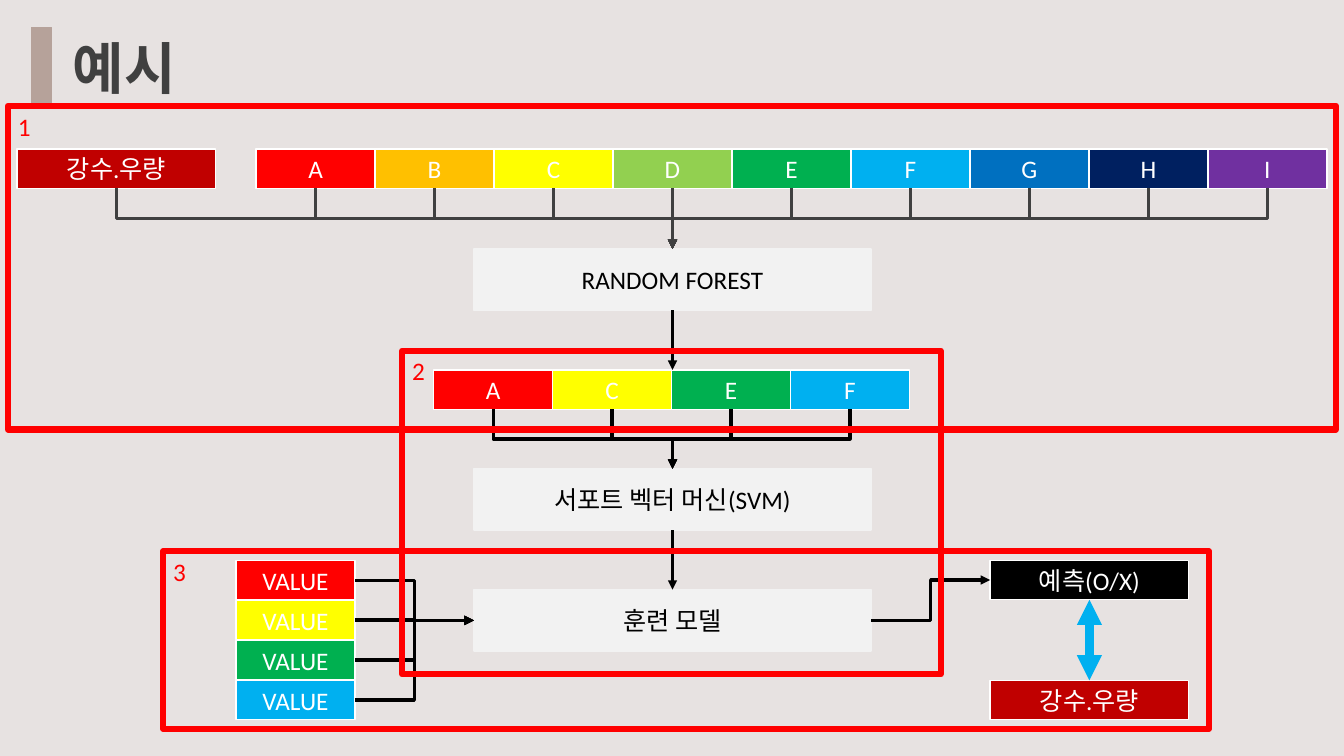
from dataclasses import dataclass
from typing import Optional

from lxml import etree
from pptx import Presentation
from pptx import util as u
from pptx.dml.color import RGBColor
from pptx.enum import shapes, text
from pptx.oxml import ns

RED, YELLOW, GREEN, SKY = "FF0000", "FFFF00", "00B050", "00B0F0"
WHITE, BLACK, DARK, PALE, CRIMSON = "FFFFFF", "000000", "404040", "F2F2F2", "C00000"
CELL_W, CELL_H, WIDE_W = 1.18, 0.39, 1.97
VALUE_STEP = 1.19 / 3
KOREAN = "Noto Sans CJK KR"


@dataclass
class Box:
    label: str
    left: float
    top: float
    width: float
    height: float
    fill: Optional[str] = None
    line: str = WHITE
    ink: str = WHITE
    line_width: float = 1


@dataclass
class Feature:
    label: str
    colour: str


FEATURES = [
    Feature("A", RED), Feature("B", "FFC000"), Feature("C", YELLOW),
    Feature("D", "92D050"), Feature("E", GREEN), Feature("F", SKY),
    Feature("G", "0070C0"), Feature("H", "002060"), Feature("I", "7030A0"),
]
SELECTED = [feature for feature in FEATURES if feature.label in "ACEF"]
STAGES = [
    Box("1", 0.08, 1.05, 13.17, 3.21, None, RED, RED, 4.5),
    Box("2", 3.99, 3.48, 5.34, 3.21, None, RED, RED, 4.5),
    Box("3", 1.62, 5.47, 10.37, 1.76, None, RED, RED, 4.5),
]


def rgb(colour: str) -> RGBColor:
    return RGBColor.from_string(colour)


def apply_format(target, values: dict) -> None:
    for name, value in values.items():
        setattr(target, name, value)


def style_run(run, face: str, size: float, colour: str, bold: bool = False) -> None:
    apply_format(run.font, {"name": face, "size": u.Pt(size), "bold": bold})
    run.font.color.rgb = rgb(colour)
    etree.SubElement(run.font._element, ns.qn("a:ea"), typeface=KOREAN)


def add_box(slide, box: Box):
    """Draw a filled box with centred text, or an open frame with its text at top left."""
    shape = slide.shapes.add_shape(
        shapes.MSO_SHAPE.RECTANGLE,
        *map(u.Inches, (box.left, box.top, box.width, box.height)))
    shape.shadow.inherit = False
    shape.line.color.rgb = rgb(box.line)
    shape.line.width = u.Pt(box.line_width)
    if box.fill:
        shape.fill.solid()
        shape.fill.fore_color.rgb = rgb(box.fill)
    else:
        shape.fill.background()
    frame = shape.text_frame
    frame.word_wrap = True
    frame.vertical_anchor = text.MSO_ANCHOR.MIDDLE if box.fill else text.MSO_ANCHOR.TOP
    paragraph = frame.paragraphs[0]
    paragraph.alignment = text.PP_ALIGN.CENTER if box.fill else text.PP_ALIGN.LEFT
    if box.label:
        run = paragraph.add_run()
        run.text = box.label
        style_run(run, "Calibri", 18, box.ink)
    return shape


def side(shape, index: int) -> tuple[int, int]:
    """Middle of a side: 0 top, 1 left, 2 bottom, 3 right."""
    centre, middle = shape.left + shape.width // 2, shape.top + shape.height // 2
    return [(centre, shape.top), (shape.left, middle),
            (centre, shape.top + shape.height), (shape.left + shape.width, middle)][index]


def style_line(connector, colour: str, width: float = 2.25, ends: tuple = ("tailEnd",)) -> None:
    connector.line.color.rgb = rgb(colour)
    connector.line.width = u.Pt(width)
    properties = connector._element.spPr
    outline = properties.find(ns.qn("a:ln"))
    for end in ends:
        etree.SubElement(outline, ns.qn(f"a:{end}"), type="triangle")
    etree.SubElement(properties, ns.qn("a:effectLst"))


def add_straight(slide, start: tuple, finish: tuple):
    return slide.shapes.add_connector(shapes.MSO_CONNECTOR.STRAIGHT, *start, *finish)


def add_elbow(slide, start: tuple, finish: tuple, colour: str = BLACK) -> None:
    """Arrow that leaves and arrives horizontally."""
    elbow = slide.shapes.add_connector(shapes.MSO_CONNECTOR.ELBOW, *start, *finish)
    style_line(elbow, colour)


def add_drop(slide, start: tuple, finish: tuple, colour: str) -> None:
    """Arrow that leaves and arrives downwards: an elbow turned a quarter."""
    (x1, y1), (x2, y2) = start, finish
    rightward = x2 > x1
    centre, middle = (x1 + x2) // 2, (y1 + y2) // 2
    half_w, half_h = (y2 - y1) // 2, abs(x2 - x1) // 2
    if rightward:
        half_w = -half_w
    elbow = slide.shapes.add_connector(
        shapes.MSO_CONNECTOR.ELBOW,
        centre - half_w, middle - half_h, centre + half_w, middle + half_h)
    elbow._element.spPr.xfrm.set("rot", str((270 if rightward else 90) * 60000))
    style_line(elbow, colour)


def add_feature_row(slide, features: list[Feature], left: float, top: float) -> list:
    return [add_box(slide, Box(feature.label, left + i * CELL_W, top, CELL_W, CELL_H,
                               feature.colour))
            for i, feature in enumerate(features)]


def add_heading(slide) -> None:
    add_box(slide, Box("", 0.31, 0.27, 0.2, 0.79, "B6A29A", "B6A29A"))
    rule = add_straight(slide, (u.Inches(0.31), u.Inches(1.05)),
                        (u.Inches(10.15), u.Inches(1.05)))
    style_line(rule, "D3CAC4", 0.5, ())
    heading = slide.shapes.title
    apply_format(heading, {"left": u.Inches(0.5), "top": u.Inches(0.27),
                           "width": u.Inches(9.65), "height": u.Inches(0.79)})
    frame = heading.text_frame
    apply_format(frame, {"vertical_anchor": text.MSO_ANCHOR.MIDDLE,
                         "auto_size": text.MSO_AUTO_SIZE.NONE,
                         "word_wrap": True, "margin_left": u.Inches(0.22)})
    frame.paragraphs[0].alignment = text.PP_ALIGN.LEFT
    run = frame.paragraphs[0].add_run()
    run.text = "예시"
    style_run(run, KOREAN, 40, DARK, True)


def add_flow(slide) -> None:
    rainfall = add_box(slide, Box("강수.우량", 0.17, 1.48, WIDE_W, CELL_H, CRIMSON))
    inputs = add_feature_row(slide, FEATURES, 2.54, 1.48)
    forest, svm, model = [
        add_box(slide, Box(label, 4.7, top, 3.94, 0.61, PALE, PALE, BLACK))
        for label, top in (("RANDOM FOREST", 2.47), ("서포트 벡터 머신(SVM)", 4.65),
                           ("훈련 모델", 5.85))]
    for cell in [rainfall, *inputs]:
        add_drop(slide, side(cell, 2), side(forest, 0), DARK)

    chosen = add_feature_row(slide, SELECTED, 4.3, 3.67)
    selection = add_straight(slide, side(forest, 2), (u.Inches(6.67), u.Inches(3.67)))
    selection.begin_connect(forest, 2)
    style_line(selection, BLACK)
    for cell in chosen:
        add_drop(slide, side(cell, 2), side(svm, 0), BLACK)

    for i, feature in enumerate(SELECTED):
        value = add_box(slide, Box("VALUE", 2.34, 5.56 + i * VALUE_STEP, CELL_W, CELL_H,
                                   feature.colour))
        add_elbow(slide, side(value, 3), side(model, 1))

    observed = add_box(slide, Box("강수.우량", 9.82, 6.75, WIDE_W, CELL_H, CRIMSON))
    prediction = add_box(slide, Box("예측(O/X)", 9.82, 5.56, WIDE_W, CELL_H, BLACK))
    add_elbow(slide, side(model, 3), side(prediction, 1))
    for upper, lower, colour, width, ends in (
            (svm, model, BLACK, 2.25, ("tailEnd",)),
            (prediction, observed, SKY, 6, ("headEnd", "tailEnd"))):
        arrow = add_straight(slide, side(upper, 2), side(lower, 0))
        arrow.begin_connect(upper, 2)
        arrow.end_connect(lower, 0)
        style_line(arrow, colour, width, ends)


def main() -> None:
    deck = Presentation()
    apply_format(deck, {"slide_width": u.Inches(13.33), "slide_height": u.Inches(7.5)})
    slide = deck.slides.add_slide(deck.slide_layouts[5])
    slide.background.fill.solid()
    slide.background.fill.fore_color.rgb = rgb("E7E2E1")
    add_heading(slide)
    add_flow(slide)
    for stage in STAGES:
        add_box(slide, stage)
    deck.save("out.pptx")


if __name__ == "__main__":
    main()
